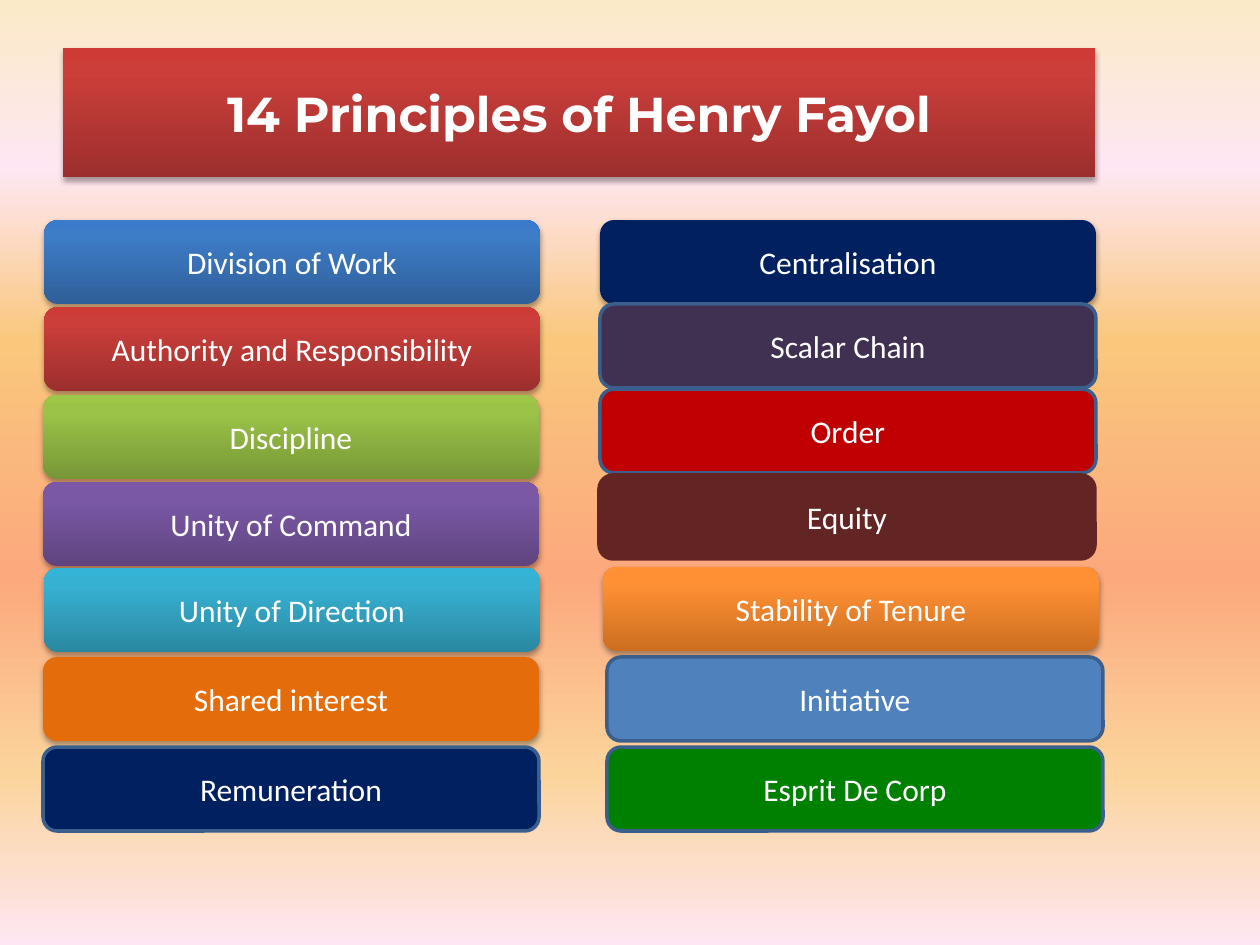
from lxml.etree import SubElement
from pptx import Presentation
from pptx.dml.color import RGBColor
from pptx.enum.shapes import MSO_SHAPE
from pptx.enum.text import MSO_ANCHOR, PP_ALIGN
from pptx.oxml.ns import qn
from pptx.util import Emu, Pt

EDGE = "3A5F8C"
RED = "9C2F2D CB3E3A CE3B37"
LEFT = [
    ("Division of Work", 44, 220, "2F5F99 3D7CC7 3A7CCB", None),
    ("Authority and Responsibility", 44, 307, RED, None),
    ("Discipline", 43, 395, "779737 9BC348 9DC746", None),
    ("Unity of Command", 43, 482, "5F4480 7B58A6 7C57A8", None),
    ("Unity of Direction", 44, 568, "2A88A2 37B1D2 34B4D6", None),
    ("Shared interest", 43, 657, "E46C0A", None),
    ("Remuneration", 43, 747, "002060", EDGE),
]
RIGHT = [
    ("Centralisation", 600, 220, "002060", None),
    ("Scalar Chain", 600, 304, "403152", EDGE),
    ("Order", 600, 389, "C00000", EDGE),
    ("Equity", 599, 475, "632523", "632523"),
    ("Stability of Tenure", 603, 567, "CC6E20 FF9034 FF9136", None),
    ("Initiative", 607, 657, "4F81BD", EDGE),
    ("Esprit De Corp", 607, 747, "008000", EDGE),
]


def px(n):
    return Emu(round(n * 914400 / 126))


def color(code):
    return RGBColor.from_string(code)


class Deck:
    head = "Montserrat"
    body = "Calibri"
    ink = "FFFFFF"
    size = (496, 84)

    def __init__(self):
        self.prs = Presentation()
        self.prs.slide_width, self.prs.slide_height = px(1260), px(945)
        self.slide = self.prs.slides.add_slide(self.prs.slide_layouts[5])

    def blend(self, fill, root, stops, angle):
        fill.gradient()
        fill.gradient_angle = angle
        group = next(root.iter(qn("a:gsLst")))
        group.clear()
        for pos, code in stops:
            stop = SubElement(group, qn("a:gs"), pos=str(pos * 1000))
            SubElement(stop, qn("a:srgbClr"), val=code)

    def back(self, stops):
        fill = self.slide.background.fill
        self.blend(fill, self.slide.element, stops, 270)

    def shade(self, shape):
        group = shape.element.spPr.find(qn("a:effectLst"))
        cast = SubElement(group, qn("a:outerShdw"), blurRad="40000",
                          dist="23000", dir="5400000", rotWithShape="0")
        tint = SubElement(cast, qn("a:srgbClr"), val="000000")
        SubElement(tint, qn("a:alpha"), val="35000")

    def paint(self, shape, codes, edge):
        codes = codes.split()
        if len(codes) > 1:
            stops = zip((0, 80, 100), codes)
            self.blend(shape.fill, shape.element.spPr, stops, 90)
        else:
            shape.fill.solid()
            shape.fill.fore_color.rgb = color(codes[0])
        shape.shadow.inherit = False
        if edge:
            shape.line.color.rgb = color(edge)
            shape.line.width = Pt(2)
        else:
            shape.line.fill.background()
            self.shade(shape)

    def label(self, shape, text, font, size, bold=False):
        frame = shape.text_frame
        frame.word_wrap = True
        frame.vertical_anchor = MSO_ANCHOR.MIDDLE
        para = frame.paragraphs[0]
        para.alignment = PP_ALIGN.CENTER
        run = para.add_run()
        run.text = text
        run.font.name = font
        run.font.size = Pt(size)
        run.font.bold = bold
        run.font.color.rgb = color(self.ink)

    def title(self, text, x, y, w, h, codes):
        shape = self.slide.shapes.title
        shape.left, shape.top, shape.width, shape.height = map(px, (x, y, w, h))
        form = SubElement(shape.element.spPr, qn("a:prstGeom"), prst="roundRect")
        SubElement(form, qn("a:avLst"))
        self.paint(shape, codes, None)
        self.label(shape, text, self.head, 28, True)

    def button(self, text, x, y, codes, edge):
        shape = self.slide.shapes.add_shape(
            MSO_SHAPE.ROUNDED_RECTANGLE, *map(px, (x, y, *self.size)))
        self.paint(shape, codes, edge)
        self.label(shape, text, self.body, 18)


def main():
    deck = Deck()
    deck.back([(0, "FBEAC7"), (18, "FEE7F2"), (36, "FAC77D"),
               (61, "FBA97D"), (82, "FBD49C"), (100, "FEE7F2")])
    deck.title("14 Principles of Henry Fayol", 63, 48, 1032, 129, RED)
    for row in LEFT + RIGHT:
        deck.button(*row)
    deck.prs.save("out.pptx")


if __name__ == "__main__":
    main()
